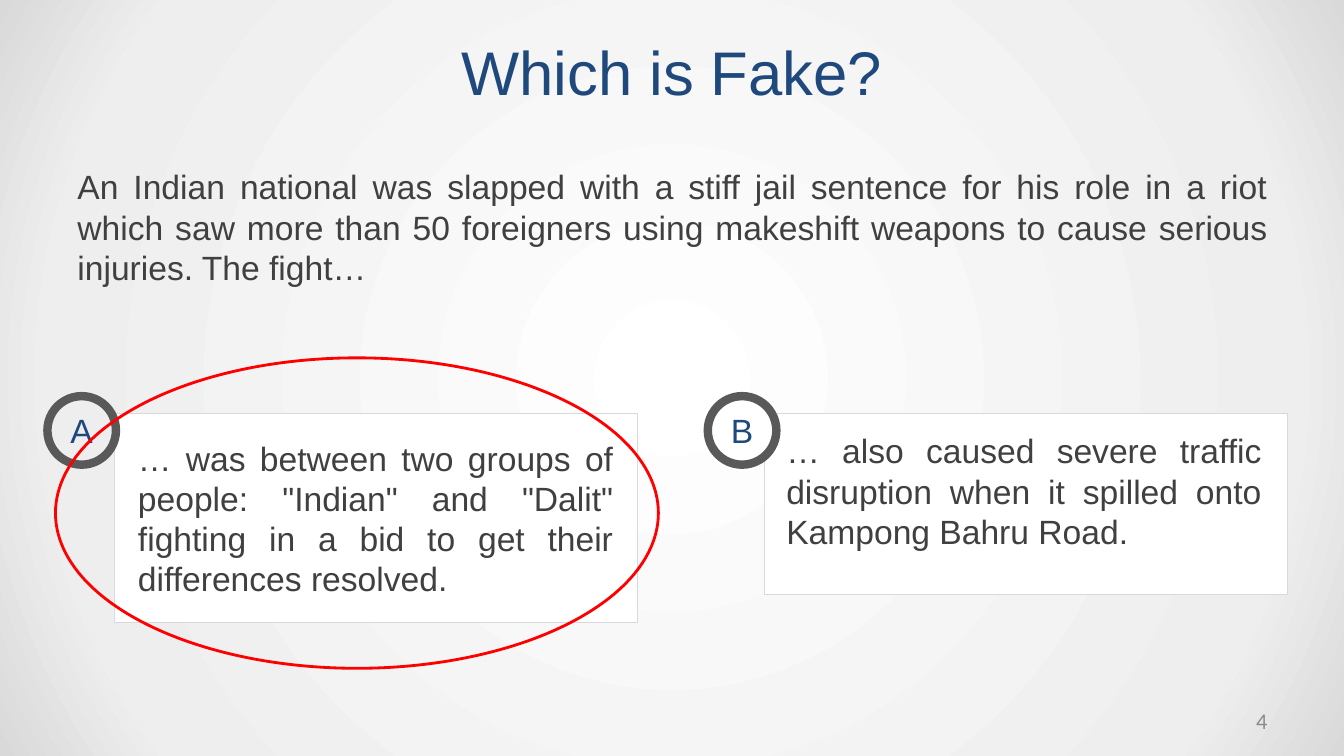
from dataclasses import dataclass

import pptx
import pptx.dml.color
import pptx.enum.shapes
import pptx.enum.text
import pptx.oxml
import pptx.oxml.ns
import pptx.util
from pptx.util import Inches

ALIGN = pptx.enum.text.PP_ALIGN
ANCHOR = pptx.enum.text.MSO_ANCHOR
SHAPE = pptx.enum.shapes.MSO_SHAPE


@dataclass(frozen=True)
class Theme:
    """Colours, fonts and type sizes of the slide."""
    font: str = "Arial"
    number_font: str = "Calibri"
    title_size: int = 44
    body_size: int = 24
    number_size: int = 16
    accent: str = "1F497D"
    body: str = "404040"
    number: str = "8C8C8C"
    card: str = "FFFFFF"
    card_line: str = "D9D9D9"
    ring: str = "595959"
    mark: str = "FF0000"
    backdrop: tuple = ((0, "FFFFFF"), (81, "EEEEEE"), (100, "D9D9D9"))


THEME = Theme()


def rgb(value):
    """Turn a hex string into a colour."""
    return pptx.dml.color.RGBColor.from_string(value)


def write(frame, words, size, color, align, font=THEME.font):
    """Fill a text frame with one formatted paragraph."""
    frame.word_wrap = True
    frame.text = words
    paragraph = frame.paragraphs[0]
    paragraph.alignment = align
    run_font = paragraph.runs[0].font
    run_font.name = font
    run_font.size = pptx.util.Pt(size)
    run_font.color.rgb = rgb(color)


def add_text(slide, box, words, size, color, align, font=THEME.font):
    """Place a text box and return its frame."""
    frame = slide.shapes.add_textbox(*map(Inches, box)).text_frame
    write(frame, words, size, color, align, font)
    return frame


def add_outline(slide, kind, box, line, width, fill=None):
    """Place an outlined shape, filled only when a colour is given."""
    shape = slide.shapes.add_shape(kind, *map(Inches, box))
    shape.shadow.inherit = False
    if fill:
        shape.fill.solid()
        shape.fill.fore_color.rgb = rgb(fill)
    else:
        shape.fill.background()
    shape.line.color.rgb = rgb(line)
    shape.line.width = pptx.util.Pt(width)
    return shape


def paint_backdrop(slide):
    """Give the slide a gradient spreading from its centre."""
    slide.background.fill.gradient()
    linear = slide.element.find(".//" + pptx.oxml.ns.qn("a:gradFill"))
    stops = "".join(
        f'<a:gs pos="{position * 1000}"><a:srgbClr val="{color}"/></a:gs>'
        for position, color in THEME.backdrop)
    radial = pptx.oxml.parse_xml(
        f'<a:gradFill {pptx.oxml.ns.nsdecls("a")} rotWithShape="1">'
        f'<a:gsLst>{stops}</a:gsLst><a:path path="circle">'
        '<a:fillToRect l="50000" t="50000" r="50000" b="50000"/>'
        '</a:path></a:gradFill>')
    linear.getparent().replace(linear, radial)


def add_answer(slide, box, letter, words, text_inset, badge_shift, badge_fill=None):
    """Place an answer card with its text and lettered badge."""
    left, top, width, height = box
    add_outline(slide, SHAPE.RECTANGLE, box, THEME.card_line, 0.5, THEME.card)
    inset_x, inset_y = text_inset
    text_box = (left + inset_x, top + inset_y, 4.91, height - 2 * inset_y)
    add_text(slide, text_box, words, THEME.body_size, THEME.body, ALIGN.JUSTIFY)
    badge_box = (left - badge_shift, top - 0.17, 0.68, 0.68)
    badge = add_outline(slide, SHAPE.OVAL, badge_box, THEME.ring, 6, badge_fill)
    frame = badge.text_frame
    frame.margin_left = frame.margin_right = 0
    frame.margin_top = frame.margin_bottom = 0
    frame.vertical_anchor = ANCHOR.MIDDLE
    write(frame, letter, THEME.body_size, THEME.accent, ALIGN.CENTER)


def add_page_number(slide, box, number):
    """Place the page number."""
    frame = add_text(slide, box, number, THEME.number_size, THEME.number,
                     ALIGN.RIGHT, THEME.number_font)
    frame.vertical_anchor = ANCHOR.MIDDLE


def build_quiz_slide(deck):
    """Build the quiz slide with the fake answer circled."""
    slide = deck.slides.add_slide(deck.slide_layouts[6])
    paint_backdrop(slide)
    add_text(slide, (3.25, 0.29, 6.83, 0.84), "Which is Fake?",
             THEME.title_size, THEME.accent, ALIGN.CENTER)
    add_text(slide, (0.67, 1.6, 12, 1.31),
             "An Indian national was slapped with a stiff jail sentence for his "
             "role in a riot which saw more than 50 foreigners using makeshift "
             "weapons to cause serious injuries. The fight…",
             THEME.body_size, THEME.body, ALIGN.JUSTIFY)
    add_answer(slide, (1.13, 4.1, 5.19, 2.07), "A",
               '… was between two groups of people: "Indian" and "Dalit" '
               "fighting in a bid to get their differences resolved.",
               (0.14, 0.19), 0.66)
    add_answer(slide, (7.58, 4.1, 5.19, 1.8), "B",
               "… also caused severe traffic disruption when it spilled onto "
               "Kampong Bahru Road.",
               (0.12, 0.12), 0.56, THEME.card)
    add_page_number(slide, (9.56, 6.95, 3.11, 0.4), "4")
    add_outline(slide, SHAPE.OVAL, (0.55, 3.55, 5.98, 3.08), THEME.mark, 2)


def main():
    """Create and save the deck."""
    deck = pptx.Presentation()
    deck.slide_width = Inches(13.33)
    deck.slide_height = Inches(7.5)
    build_quiz_slide(deck)
    deck.save("out.pptx")


if __name__ == "__main__":
    main()
